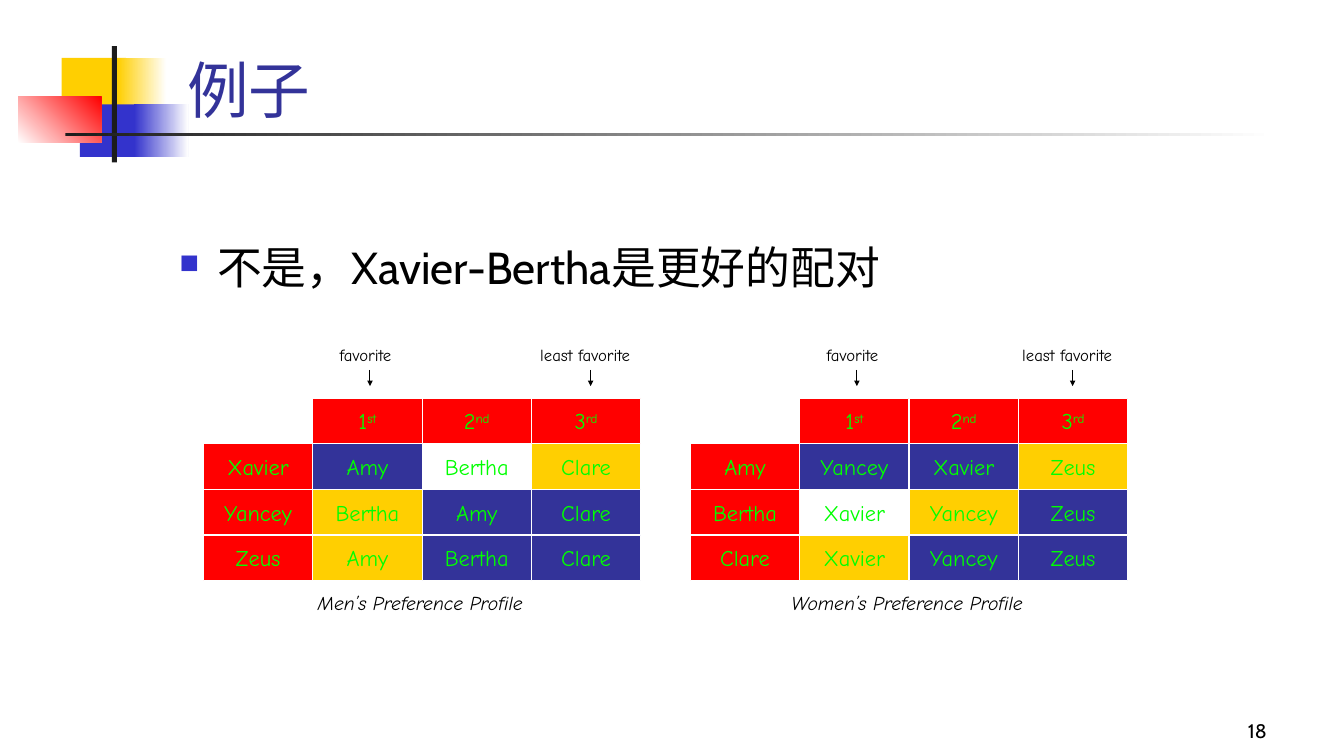
from dataclasses import dataclass

from lxml import etree
from pptx import Presentation
from pptx.dml.color import RGBColor
from pptx.enum.shapes import MSO_CONNECTOR, MSO_SHAPE
from pptx.enum.text import MSO_ANCHOR, PP_ALIGN
from pptx.oxml.ns import qn
from pptx.slide import Slide
from pptx.util import Pt

RECTANGLE = MSO_SHAPE.RECTANGLE
STRAIGHT = MSO_CONNECTOR.STRAIGHT
TOP, MIDDLE, BOTTOM = MSO_ANCHOR.TOP, MSO_ANCHOR.MIDDLE, MSO_ANCHOR.BOTTOM
LEFT, CENTER, RIGHT = PP_ALIGN.LEFT, PP_ALIGN.CENTER, PP_ALIGN.RIGHT

COLORS = {
    "gold": "FFCF01", "blue": "3333CC", "navy": "333399", "red": "FF0000",
    "green": "00FF00", "dark": "1C1C1C", "black": "000000", "white": "FFFFFF",
}
RANKS = [("1", "st"), ("2", "nd"), ("3", "rd")]
COLUMN_WIDTH, ROW_HEIGHT, GRID_TOP = 78.1, 32.6, 284.4

# Each row: person, choices in order of preference, fill of each choice.
MEN = [
    ("Xavier", ["Amy", "Bertha", "Clare"], ["navy", "white", "gold"]),
    ("Yancey", ["Bertha", "Amy", "Clare"], ["gold", "navy", "navy"]),
    ("Zeus", ["Amy", "Bertha", "Clare"], ["gold", "navy", "navy"]),
]
WOMEN = [
    ("Amy", ["Yancey", "Xavier", "Zeus"], ["navy", "navy", "gold"]),
    ("Bertha", ["Xavier", "Yancey", "Zeus"], ["white", "gold", "navy"]),
    ("Clare", ["Xavier", "Yancey", "Zeus"], ["gold", "navy", "navy"]),
]


def rgb(name):
    return RGBColor.from_string(COLORS[name])


@dataclass
class SlideBuilder:
    slide: Slide
    heading_font: str = "Cabin"
    grid_font: str = "Comic Neue"
    line_width: float = 0.75

    def rectangle(self, left, top, width, height):
        rectangle = self.slide.shapes.add_shape(
            RECTANGLE, Pt(left), Pt(top), Pt(width), Pt(height))
        rectangle.shadow.inherit = False
        return rectangle

    def block(self, left, top, width, height, start, end=None, angle=0):
        """Borderless rectangle, shaded from start to end if end is given."""
        block = self.rectangle(left, top, width, height)
        block.line.fill.background()
        if end is None:
            block.fill.solid()
            block.fill.fore_color.rgb = rgb(start)
            return
        block.fill.gradient()
        block.fill.gradient_angle = angle
        for stop, color, position in zip(block.fill.gradient_stops, (start, end), (0, 1)):
            stop.color.rgb = rgb(color)
            stop.position = position

    def run(self, paragraph, wording, font, size, color, italic=False, raised=False):
        run = paragraph.add_run()
        run.text = wording
        run.font.name = font
        run.font.size = Pt(size)
        run.font.color.rgb = rgb(color)
        if italic:
            run.font.italic = True
        if raised:
            run._r.get_or_add_rPr().set("baseline", "30000")

    def frame(self, shape, align, anchor, inset=(7.2, 3.6), wrap=True):
        """Lay out the text frame of a shape and return its first paragraph."""
        frame = shape.text_frame
        frame.word_wrap = wrap
        frame.vertical_anchor = anchor
        frame.margin_left = frame.margin_right = Pt(inset[0])
        frame.margin_top = frame.margin_bottom = Pt(inset[1])
        paragraph = frame.paragraphs[0]
        paragraph.alignment = align
        return paragraph

    def text(self, left, top, width, height, wording, font, size, color="black",
             align=LEFT, anchor=TOP, inset=(7.2, 3.6), italic=False, bullet=False):
        box = self.slide.shapes.add_textbox(Pt(left), Pt(top), Pt(width), Pt(height))
        paragraph = self.frame(box, align, anchor, inset)
        if bullet:
            self.bullet(paragraph)
        self.run(paragraph, wording, font, size, color, italic)

    def bullet(self, paragraph):
        properties = paragraph._p.get_or_add_pPr()
        properties.set("marL", str(Pt(27)))
        properties.set("indent", str(-Pt(27)))
        color = etree.SubElement(properties, qn("a:buClr"))
        etree.SubElement(color, qn("a:srgbClr"), val=COLORS["blue"])
        etree.SubElement(properties, qn("a:buSzPct"), val="60000")
        etree.SubElement(properties, qn("a:buFont"), typeface="Wingdings", charset="2")
        etree.SubElement(properties, qn("a:buChar"), char="n")

    def arrow(self, x, top, bottom):
        arrow = self.slide.shapes.add_connector(STRAIGHT, Pt(x), Pt(top), Pt(x), Pt(bottom))
        arrow.line.color.rgb = rgb("black")
        arrow.line.width = Pt(self.line_width)
        etree.SubElement(arrow.line._get_or_add_ln(), qn("a:tailEnd"),
                         type="triangle", w="sm", len="sm")
        etree.SubElement(arrow._element.spPr, qn("a:effectLst"))

    def cell(self, grid_left, row, column, fill, wording, ending=""):
        """White-edged grid cell; the ending is set as a superscript."""
        cell = self.rectangle(grid_left + column * COLUMN_WIDTH,
                              GRID_TOP + row * ROW_HEIGHT, COLUMN_WIDTH, ROW_HEIGHT)
        cell.fill.solid()
        cell.fill.fore_color.rgb = rgb(fill)
        cell.line.color.rgb = rgb("white")
        cell.line.width = Pt(self.line_width)
        paragraph = self.frame(cell, CENTER, MIDDLE, wrap=False)
        self.run(paragraph, wording, self.grid_font, 16, "green")
        if ending:
            self.run(paragraph, ending, self.grid_font, 16, "green", raised=True)

    def preferences(self, left, people):
        for row, (person, choices, fills) in enumerate(people, 1):
            self.cell(left, row, 0, "red", person)
            for column, (choice, fill) in enumerate(zip(choices, fills), 1):
                self.cell(left, row, column, fill, choice)
        for column, (number, ending) in enumerate(RANKS, 1):
            self.cell(left, 0, column, "red", number, ending)

    def profile(self, left, people, caption, least_offset):
        """Preference grid with its column markers and caption."""
        self.preferences(left, people)
        for label, offset, width in (("favorite", 97.3, 46),
                                     ("least favorite", least_offset, 78)):
            self.text(left + offset, 246, width, 14.4, label, self.grid_font, 12,
                      inset=(0, 0))
        for offset in (119, least_offset + 36):
            self.arrow(left + offset, 264.2, 275.8)
        self.text(left - 1.3, 414, 4 * COLUMN_WIDTH, ROW_HEIGHT, caption,
                  self.grid_font, 14, align=CENTER, anchor=MIDDLE, italic=True)


def main():
    deck = Presentation()
    deck.slide_width, deck.slide_height = Pt(960), Pt(540)
    page = SlideBuilder(deck.slides.add_slide(deck.slide_layouts[6]))

    page.block(44, 41.3, 46, 37.4, "gold")
    page.block(84.2, 41.3, 34.6, 37.4, "gold", "white")
    page.block(57, 74.6, 44.6, 37.4, "blue")
    page.block(95.8, 74.6, 38.9, 37.4, "blue", "white")
    page.block(13.2, 69, 59, 33, "white", "red", angle=45)
    page.block(80, 33, 3.6, 83, "dark")
    page.block(46.8, 95, 864, 2.2, "dark", "white")

    page.text(712, 498.2, 200, 36, "18", page.heading_font, 14, align=RIGHT, anchor=BOTTOM)
    page.text(126.7, 3.6, 818, 90, "例子", page.heading_font, 44, "navy", anchor=BOTTOM)
    page.text(121, 167.8, 612, 324, "不是，Xavier-Bertha是更好的配对",
              page.heading_font, 32, bullet=True)
    page.profile(145.3, MEN, "Men’s Preference Profile", 240.6)
    page.profile(493.1, WOMEN, "Women’s Preference Profile", 237.1)
    deck.save("out.pptx")


if __name__ == "__main__":
    main()
